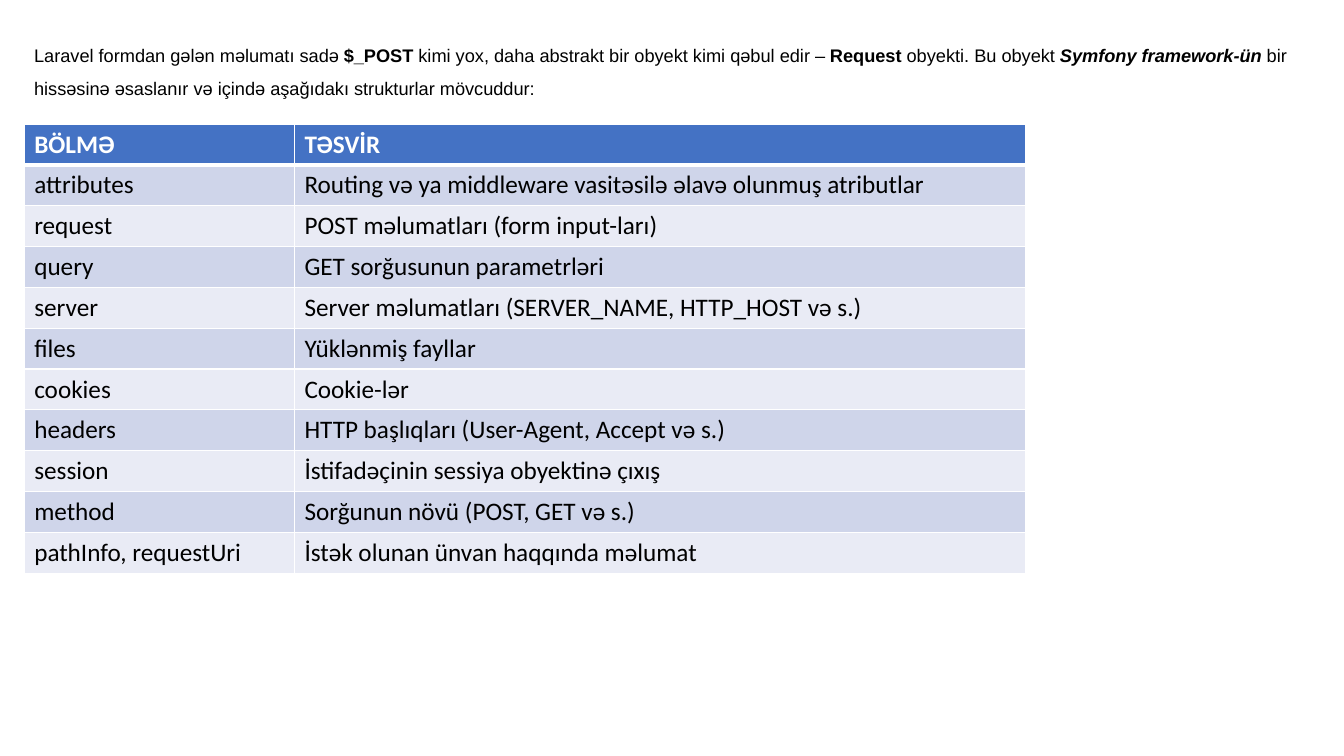
from pptx import Presentation
from pptx.dml.color import RGBColor as Color
from pptx.enum.text import MSO_ANCHOR as Anchor, MSO_AUTO_SIZE as AutoSize
from pptx.oxml import parse_xml
from pptx.oxml.ns import nsdecls
from pptx.util import Inches, Pt

COLORS = {
    "text": "000000",
    "white": "FFFFFF",
    "header": "4472C4",
    "odd": "CFD5EA",
    "even": "E9EBF5",
}

INTRO = [
    ("Laravel formdan gələn məlumatı sadə ", {}),
    ("$_POST ", {"bold": True}),
    ("kimi yox, daha abstrakt bir obyekt kimi qəbul edir – ", {}),
    ("Request", {"bold": True}),
    (" obyekti. Bu obyekt ", {}),
    ("Symfony framework-ün ", {"bold": True, "italic": True}),
    ("bir hissəsinə əsaslanır və içində aşağıdakı strukturlar mövcuddur:", {}),
]

REQUEST_PARTS = [
    ("BÖLMƏ", "TƏSVİR"),
    ("attributes", "Routing və ya middleware vasitəsilə əlavə olunmuş atributlar"),
    ("request", "POST məlumatları (form input-ları)"),
    ("query", "GET sorğusunun parametrləri"),
    ("server", "Server məlumatları (SERVER_NAME, HTTP_HOST və s.)"),
    ("files", "Yüklənmiş fayllar"),
    ("cookies", "Cookie-lər"),
    ("headers", "HTTP başlıqları (User-Agent, Accept və s.)"),
    ("session", "İstifadəçinin sessiya obyektinə çıxış"),
    ("method", "Sorğunun növü (POST, GET və s.)"),
    ("pathInfo, requestUri", "İstək olunan ünvan haqqında məlumat"),
]


class SlideBuilder:
    """Holds the text styles and the slide being filled."""

    intro_style = {"name": "Arial", "size": Pt(13), "bold": False, "italic": False}
    cell_style = {"name": "Calibri", "size": Pt(18), "bold": False}

    def __init__(self, slide):
        self.slide = slide

    def add_run(self, paragraph, text, style, color="text"):
        run = paragraph.add_run()
        run.text = text
        for attribute, value in style.items():
            setattr(run.font, attribute, value)
        run.font.color.rgb = Color.from_string(COLORS[color])

    def add_text(self, left, top, width, height, runs):
        box = self.slide.shapes.add_textbox(
            Inches(left), Inches(top), Inches(width), Inches(height))
        frame = box.text_frame
        frame.word_wrap = True
        frame.auto_size = AutoSize.SHAPE_TO_FIT_TEXT
        paragraph = frame.paragraphs[0]
        paragraph.line_spacing = 1.5
        for text, changes in runs:
            self.add_run(paragraph, text, self.intro_style | changes)

    def add_borders(self, cell, widths):
        properties = cell._tc.get_or_add_tcPr()
        for side, points in widths.items():
            properties.append(parse_xml(
                f'<a:ln{side} {nsdecls("a")} w="{Pt(points)}"><a:solidFill>'
                f'<a:srgbClr val="{COLORS["white"]}"/></a:solidFill></a:ln{side}>'))

    def add_table(self, left, top, column_widths, height, rows):
        table = self.slide.shapes.add_table(
            len(rows), len(column_widths), Inches(left), Inches(top),
            Inches(sum(column_widths)), Inches(height)).table
        for column, width in zip(table.columns, column_widths):
            column.width = Inches(width)
        for row_index, texts in enumerate(rows):
            is_header = row_index == 0
            fill = "header" if is_header else "odd" if row_index % 2 else "even"
            # The line under the header is thicker than the rest
            borders = {"L": 1, "R": 1, "T": 3 if row_index == 1 else 1,
                       "B": 3 if is_header else 1}
            for column_index, text in enumerate(texts):
                cell = table.cell(row_index, column_index)
                self.add_borders(cell, borders)
                cell.fill.solid()
                cell.fill.fore_color.rgb = Color.from_string(COLORS[fill])
                if column_index and not is_header:
                    cell.vertical_anchor = Anchor.MIDDLE
                self.add_run(cell.text_frame.paragraphs[0], text,
                             self.cell_style | {"bold": is_header},
                             "white" if is_header else "text")


def main():
    presentation = Presentation()
    presentation.slide_width = Inches(13.33)
    presentation.slide_height = Inches(7.5)
    builder = SlideBuilder(presentation.slides.add_slide(presentation.slide_layouts[6]))

    # Introduction
    builder.add_text(0.24, 0.28, 12.86, 0.72, INTRO)

    # Parts of the request object
    builder.add_table(0.24, 1.23, [2.68, 7.25], 4.46, REQUEST_PARTS)

    presentation.save("out.pptx")


if __name__ == "__main__":
    main()
